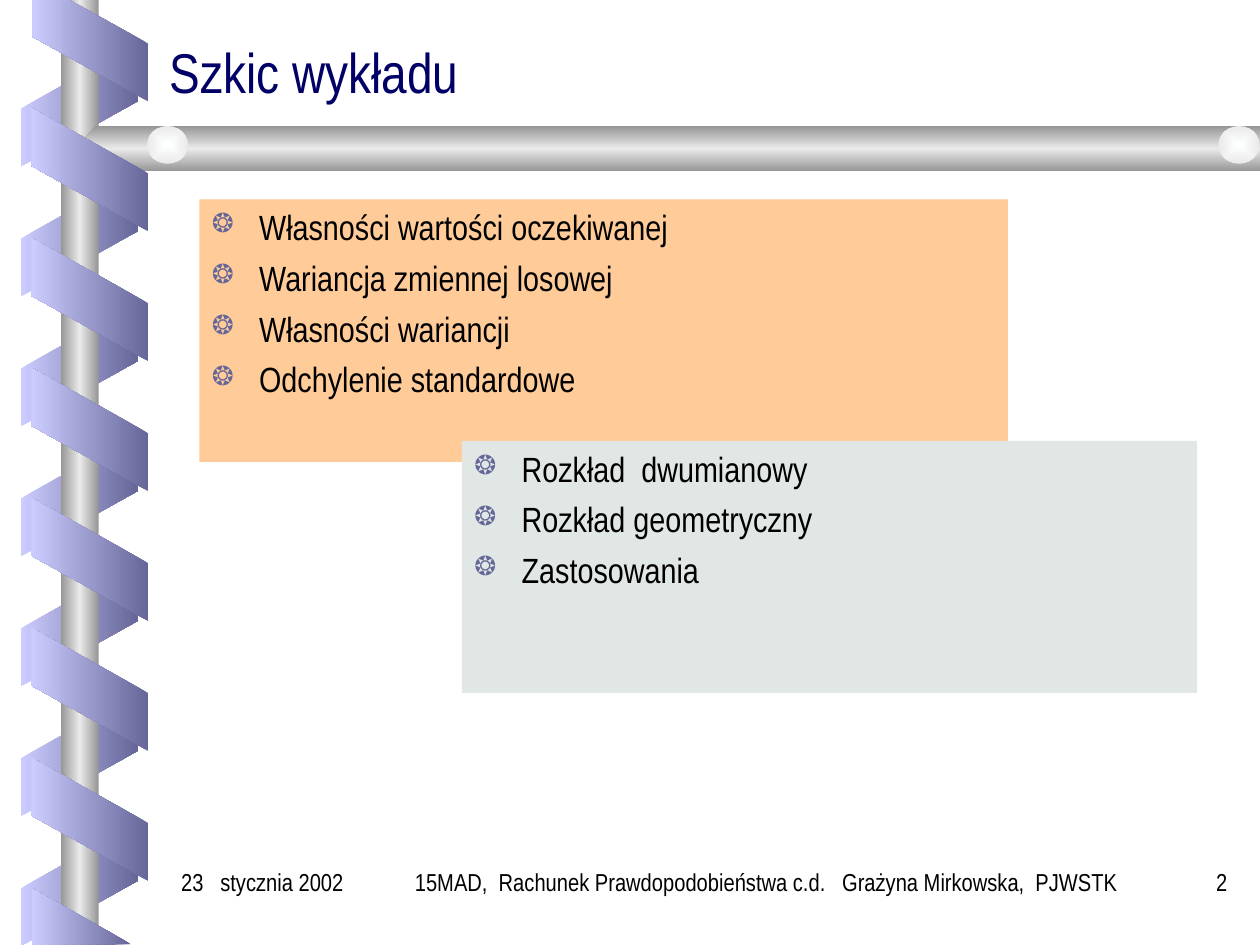
import pptx
import pptx.dml.color
import pptx.enum.shapes
import pptx.enum.text
import pptx.oxml
import pptx.oxml.ns
import pptx.util

Pt = pptx.util.Pt
RGBColor = pptx.dml.color.RGBColor
SHAPE = pptx.enum.shapes.MSO_SHAPE
ALIGN = pptx.enum.text.PP_ALIGN
ANCHOR = pptx.enum.text.MSO_ANCHOR

FONT = "Arial Narrow"
BLACK = RGBColor(0x00, 0x00, 0x00)
NAVY = RGBColor(0x00, 0x00, 0x66)
LILAC = RGBColor(0xCC, 0xCC, 0xFF)
VIOLET = RGBColor(0x66, 0x66, 0x99)
STEEL = RGBColor(0x96, 0x96, 0x96)
SILVER = RGBColor(0xEA, 0xEA, 0xEA)
PEARL = RGBColor(0xFE, 0xFF, 0xFF)
PEACH = RGBColor(0xFF, 0xCC, 0x99)
SAGE = RGBColor(0xE1, 0xE7, 0xE4)

METAL = [STEEL, SILVER, STEEL]
RIBBON_STEP = 74.25
RIBBON_WIDTH = 70.56
RIBBON_HEIGHT = 66.96
LINEAR = '<a:lin ang="{}" scaled="0"/>'
CENTRED = '<a:path path="rect"><a:fillToRect l="50000" t="50000" r="50000" b="50000"/></a:path>'


def fill_gradient(shape, colors, angle=None):
    shape.shadow.inherit = False
    shape.line.fill.background()
    shape.fill.solid()
    stops = "".join(
        f'<a:gs pos="{100000 * index // (len(colors) - 1)}"><a:srgbClr val="{color}"/></a:gs>'
        for index, color in enumerate(colors)
    )
    direction = CENTRED if angle is None else LINEAR.format(angle * 60000)
    namespace = pptx.oxml.ns.nsdecls("a")
    gradient = pptx.oxml.parse_xml(
        f'<a:gradFill {namespace} rotWithShape="0"><a:gsLst>{stops}</a:gsLst>{direction}</a:gradFill>'
    )
    properties = shape._element.spPr
    properties.replace(properties.find(pptx.oxml.ns.qn("a:solidFill")), gradient)


def add_preset(slide, preset, left, top, width, height):
    return slide.shapes.add_shape(preset, Pt(left), Pt(top), Pt(width), Pt(height))


def add_outline(slide, points, colors, angle):
    corners = [(Pt(x), Pt(y)) for x, y in points]
    builder = slide.shapes.build_freeform(*corners[0])
    builder.add_line_segments(corners[1:], close=True)
    fill_gradient(builder.convert_to_shape(), colors, angle)


def add_ribbons(slide, left, top, count, rotation, colors, flipped):
    for index in range(count):
        ribbon = add_preset(slide, SHAPE.PARALLELOGRAM, left, top + index * RIBBON_STEP,
                            RIBBON_WIDTH, RIBBON_HEIGHT)
        ribbon.adjustments[0] = 0.56
        ribbon.rotation = rotation
        if flipped:
            ribbon._element.spPr.xfrm.set("flipH", "1")
        fill_gradient(ribbon, colors, 180)


def set_font(paragraph, size, color):
    paragraph.font.name = FONT
    paragraph.font.size = Pt(size)
    paragraph.font.color.rgb = color


def add_label(slide, text, left, top, width, height, size=14, color=BLACK,
              alignment=ALIGN.LEFT, anchor=ANCHOR.TOP):
    box = slide.shapes.add_textbox(Pt(left), Pt(top), Pt(width), Pt(height))
    frame = box.text_frame
    frame.word_wrap = True
    frame.vertical_anchor = anchor
    paragraph = frame.paragraphs[0]
    paragraph.text = text
    paragraph.alignment = alignment
    set_font(paragraph, size, color)
    return paragraph


def add_bullet(paragraph):
    properties = paragraph._p.get_or_add_pPr()
    properties.set("marL", str(Pt(27)))
    properties.set("indent", str(-Pt(27)))
    namespace = pptx.oxml.ns.nsdecls("a")
    for markup in (
        f'<a:buClr {namespace}><a:srgbClr val="{VIOLET}"/></a:buClr>',
        f'<a:buSzPct {namespace} val="75000"/>',
        f'<a:buChar {namespace} char="❂"/>',
    ):
        properties.append(pptx.oxml.parse_xml(markup))


def add_topics(slide, topics, color, left, top, width, height):
    panel = add_preset(slide, SHAPE.RECTANGLE, left, top, width, height)
    panel.shadow.inherit = False
    panel.fill.solid()
    panel.fill.fore_color.rgb = color
    panel.line.fill.background()
    frame = panel.text_frame
    frame.word_wrap = True
    frame.vertical_anchor = ANCHOR.TOP
    for index, topic in enumerate(topics):
        paragraph = frame.add_paragraph() if index else frame.paragraphs[0]
        paragraph.text = topic
        add_bullet(paragraph)
        paragraph.alignment = ALIGN.LEFT
        paragraph.space_before = Pt(5 if index else 0)
        set_font(paragraph, 20, BLACK)


def add_spiral_binding(slide):
    add_ribbons(slide, 10, 26.5, 7, 90, [LILAC, VIOLET], True)
    pole = add_preset(slide, SHAPE.RECTANGLE, 34.8, 0, 21.6, 540)
    fill_gradient(pole, METAL, 180)
    bar = [(720, 72), (54.72, 72), (43.2, 85), (54.72, 97.92), (720, 97.92)]
    add_outline(slide, bar, METAL, 90)
    for left in (84, 696.24):
        knob = add_preset(slide, SHAPE.OVAL, left, 72, 23.5, 21.6)
        fill_gradient(knob, [PEARL, SILVER])
    add_ribbons(slide, 16.2, 63.5, 6, 270, [VIOLET, LILAC], False)
    top_end = [(18.5, 0), (18.5, 21), (84.75, 58), (84.75, 25), (39.6, 0)]
    bottom_end = [(74.88, 539.5), (18.3, 507.6), (18.3, 540)]
    for points in (top_end, bottom_end):
        add_outline(slide, points, [VIOLET, LILAC], 180)


def main():
    presentation = pptx.Presentation()
    presentation.slide_width = Pt(720)
    presentation.slide_height = Pt(540)
    slide = presentation.slides.add_slide(presentation.slide_layouts[6])
    add_spiral_binding(slide)
    title = add_label(slide, "Szkic wykładu", 90, 18, 612, 45, 32, NAVY, anchor=ANCHOR.BOTTOM)
    title.line_spacing = 0.8
    add_topics(slide, ["Własności wartości oczekiwanej", "Wariancja zmiennej losowej",
                       "Własności wariancji", "Odchylenie standardowe"],
               PEACH, 114, 114, 462, 150)
    add_topics(slide, ["Rozkład  dwumianowy", "Rozkład geometryczny", "Zastosowania"],
               SAGE, 264, 252, 420, 144)
    add_label(slide, "15MAD,  Rachunek Prawdopodobieństwa c.d.   Grażyna Mirkowska,  PJWSTK",
              216, 492, 444, 36, alignment=ALIGN.CENTER)
    add_label(slide, "2", 648, 492, 60.5, 36, alignment=ALIGN.RIGHT)
    add_label(slide, "23   stycznia 2002", 96.5, 492, 119.5, 36)
    presentation.save("out.pptx")


if __name__ == "__main__":
    main()
